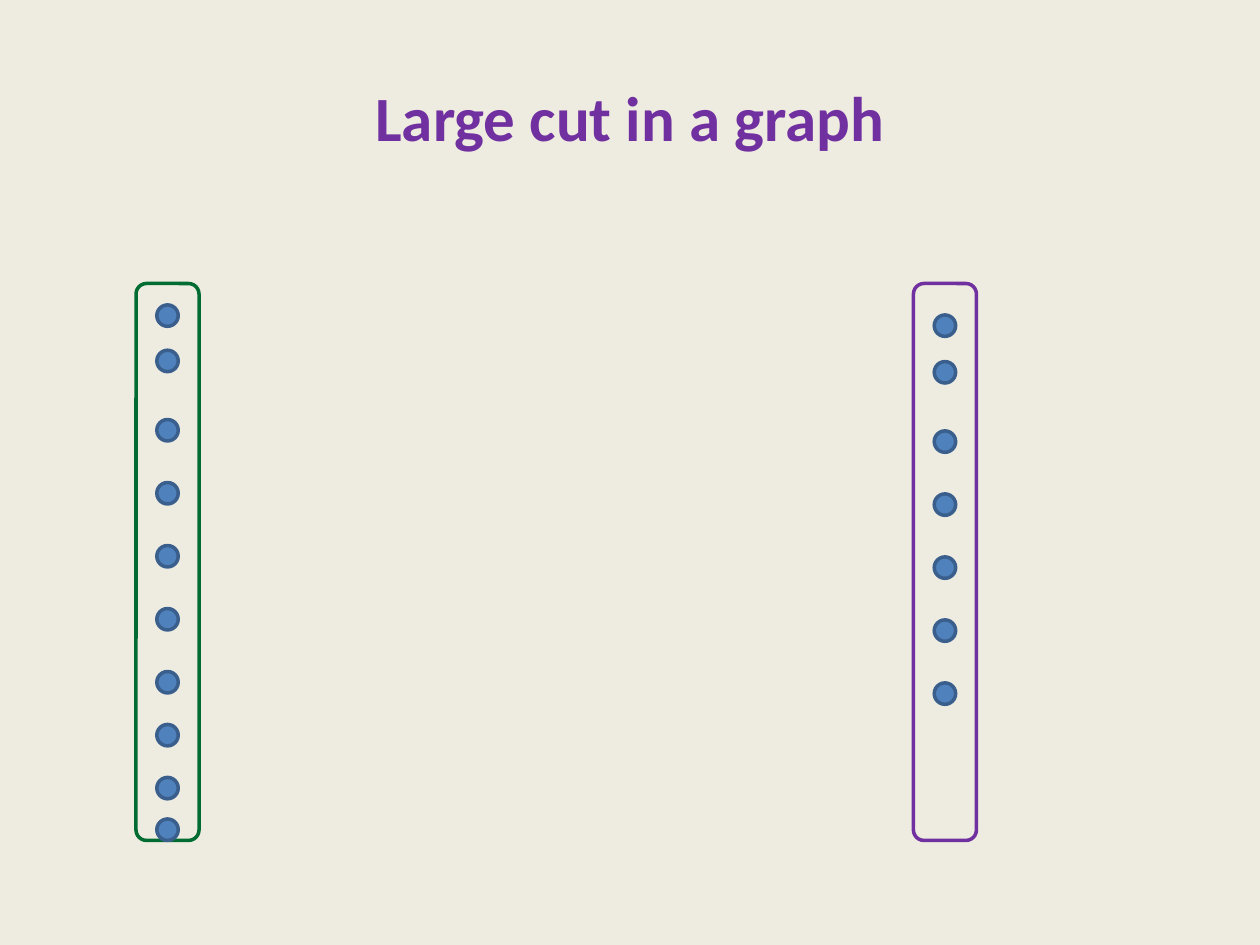
from pptx import Presentation
from pptx.dml.color import RGBColor
from pptx.enum.shapes import MSO_SHAPE
from pptx.enum.text import MSO_ANCHOR, PP_ALIGN
from pptx.util import Inches, Pt

BACKGROUND = RGBColor(0xEE, 0xEC, 0xE1)
PURPLE = RGBColor(0x70, 0x30, 0xA0)
GREEN = RGBColor(0x00, 0x6C, 0x31)
VERTEX_FILL = RGBColor(0x4F, 0x81, 0xBD)
VERTEX_LINE = RGBColor(0x3A, 0x5F, 0x8C)

SET_TOP, SET_WIDTH, SET_HEIGHT = 2.25, 0.5, 4.42
VERTEX_SIZE = 0.17
LEFT_VERTEX_TOPS = [2.42, 2.78, 3.33, 3.83, 4.33, 4.83, 5.33, 5.75, 6.17, 6.5]
RIGHT_VERTEX_TOPS = [2.5, 2.87, 3.42, 3.92, 4.42, 4.92, 5.42]


def add_title(slide, text):
    """Place and format the slide title."""
    title = slide.shapes.title
    title.left, title.top = Inches(0.5), Inches(0.3)
    title.width, title.height = Inches(9), Inches(1.25)
    title.text_frame.text = text
    title.text_frame.vertical_anchor = MSO_ANCHOR.MIDDLE
    paragraph = title.text_frame.paragraphs[0]
    paragraph.alignment = PP_ALIGN.CENTER
    font = paragraph.runs[0].font
    font.name, font.size, font.bold = "Calibri", Pt(36), True
    font.color.rgb = PURPLE


def add_outlined_shape(slide, kind, left, top, width, height, line_color):
    """Add an unfilled shape with a two-point outline."""
    shape = slide.shapes.add_shape(
        kind, Inches(left), Inches(top), Inches(width), Inches(height)
    )
    shape.shadow.inherit = False
    shape.fill.background()
    shape.line.color.rgb = line_color
    shape.line.width = Pt(2)
    return shape


def add_vertex_set(slide, left, color, vertex_tops):
    """Add one side of the cut with its column of vertices."""
    add_outlined_shape(slide, MSO_SHAPE.ROUNDED_RECTANGLE, left, SET_TOP,
                       SET_WIDTH, SET_HEIGHT, color)
    vertex_left = left + (SET_WIDTH - VERTEX_SIZE) / 2
    for top in vertex_tops:
        vertex = add_outlined_shape(slide, MSO_SHAPE.OVAL, vertex_left, top,
                                    VERTEX_SIZE, VERTEX_SIZE, VERTEX_LINE)
        vertex.fill.solid()
        vertex.fill.fore_color.rgb = VERTEX_FILL


def main():
    """Build the slide and save it."""
    presentation = Presentation()
    presentation.slide_width = Inches(10)
    presentation.slide_height = Inches(7.5)
    slide = presentation.slides.add_slide(presentation.slide_layouts[5])
    slide.background.fill.solid()
    slide.background.fill.fore_color.rgb = BACKGROUND
    add_title(slide, "Large cut in a graph")
    add_vertex_set(slide, 1.08, GREEN, LEFT_VERTEX_TOPS)
    add_vertex_set(slide, 7.25, PURPLE, RIGHT_VERTEX_TOPS)
    presentation.save("out.pptx")


if __name__ == "__main__":
    main()
